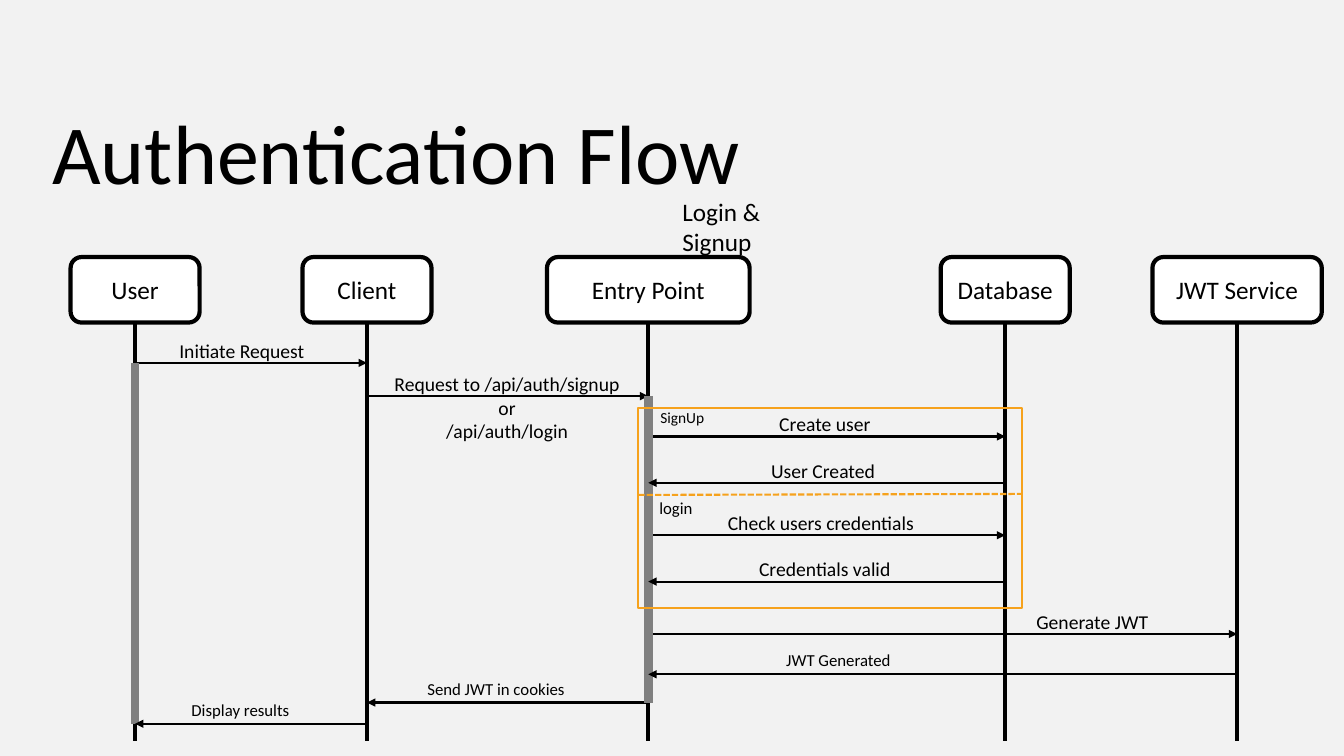
from pptx import Presentation
from pptx.util import Inches, Pt
from pptx.dml.color import RGBColor
from pptx.enum.dml import MSO_LINE
from pptx.enum.shapes import MSO_CONNECTOR, MSO_SHAPE
from pptx.enum.text import MSO_ANCHOR, MSO_AUTO_SIZE, PP_ALIGN
from lxml.etree import SubElement
from pptx.oxml.ns import qn

THEME = {
    "font": "Calibri",
    "page": RGBColor(0xF2, 0xF2, 0xF2),
    "ink": RGBColor(0, 0, 0),
    "box": RGBColor(0xFF, 0xFF, 0xFF),
    "bar": RGBColor(0x80, 0x80, 0x80),
    "frame": RGBColor(0xF6, 0xA2, 0x1D),
    "title": 60, "head": 18, "label": 14, "small": 12, "tiny": 11,
    "thin": 1.5, "thick": 3, "wide": 6,
}
CELL = Inches(0.1)

prs = Presentation()
prs.slide_width, prs.slide_height = Inches(13.33), Inches(7.5)
s = prs.slides.add_slide(prs.slide_layouts[6])
s.background.fill.solid()
s.background.fill.fore_color.rgb = THEME["page"]


def write(tf, lines, size, align):
    for i, line in enumerate(lines):
        p = tf.paragraphs[0] if i == 0 else tf.add_paragraph()
        p.alignment = align
        r = p.add_run()
        r.text = line
        r.font.name = THEME["font"]
        r.font.size = Pt(THEME[size])
        r.font.color.rgb = THEME["ink"]


def connect(x1, y1, x2, y2, color="ink", weight="thin", arrow=False):
    ends = [round(v * CELL) for v in (x1, y1, x2, y2)]
    cx = s.shapes.add_connector(MSO_CONNECTOR.STRAIGHT, *ends)
    cx.line.color.rgb = THEME[color]
    cx.line.width = Pt(THEME[weight])
    if arrow:
        SubElement(cx.line._get_or_add_ln(), qn("a:tailEnd"), type="triangle")
    SubElement(cx._element.spPr, qn("a:effectLst"))
    return cx


actors = {
    "User": (13.4, 12.8),
    "Client": (36.4, 12.8),
    "Entry Point": (64.3, 20.1),
    "Database": (99.7, 12.8),
    "JWT Service": (122.7, 16.8),
}
head_top, head_height, life_end = 25.5, 6.5, 73.5
for name, (mid, width) in actors.items():
    box = [round(v * CELL) for v in (mid - width / 2, head_top, width, head_height)]
    sp = s.shapes.add_shape(MSO_SHAPE.ROUNDED_RECTANGLE, *box)
    sp.shadow.inherit = False
    sp.fill.solid()
    sp.fill.fore_color.rgb = THEME["box"]
    sp.line.color.rgb = THEME["ink"]
    sp.line.width = Pt(THEME["thick"])
    sp.text_frame.vertical_anchor = MSO_ANCHOR.MIDDLE
    write(sp.text_frame, [name], "head", PP_ALIGN.CENTER)
    lifeline = connect(mid, head_top + head_height, mid, life_end, weight="thick")
    lifeline.begin_connect(sp, 2)

requests = [
    ("User", "Client", 36),
    ("Client", "Entry Point", 39.3),
    ("Entry Point", "Database", 43.3),
    ("Entry Point", "Database", 53.1),
    ("Entry Point", "JWT Service", 62.9),
    ("Entry Point", "Client", 69.7),
]
replies = [
    ("JWT Service", "Entry Point", 66.9),
    ("Database", "Entry Point", 47.9),
    ("Database", "Entry Point", 57.7),
    ("Client", "User", 71.8),
]
bars = [("Entry Point", 39.3, 69.7), ("User", 36, 71.8)]

for source, target, row in requests:
    connect(actors[source][0], row, actors[target][0], row, arrow=True)
for name, top, bottom in bars:
    connect(actors[name][0], top, actors[name][0], bottom, "bar", "wide")
for source, target, row in replies:
    connect(actors[source][0], row, actors[target][0], row, arrow=True)

left, top, width, height = 63.3, 40.5, 38.1, 19.8
frame = s.shapes.add_shape(
    MSO_SHAPE.RECTANGLE, *[round(v * CELL) for v in (left, top, width, height)])
frame.shadow.inherit = False
frame.fill.background()
frame.line.color.rgb = THEME["frame"]
frame.line.width = Pt(THEME["thin"])
divider = connect(left, 49.1, left + width, 49, "frame")
divider.line.dash_style = MSO_LINE.SQUARE_DOT

above = 2.9
texts = [
    (4.2, 9.5, 71.2, "title", False, ["Authentication Flow"]),
    (66.7, 19, 16, "head", True, ["Login & Signup"]),
    (16.8, 36 - above, 14.4, "label", False, ["Initiate Request"]),
    (37.3, 39.3 - above, 26, "label", True,
     ["Request to /api/auth/signup or", "/api/auth/login"]),
    (76.3, 43.3 - above, 11.5, "label", False, ["Create user"]),
    (75.5, 47.9 - above, 13.1, "label", False, ["User Created"]),
    (71.2, 53.1 - above, 22, "label", True, ["Check users credentials"]),
    (74.3, 57.7 - above, 18, "label", True, ["Credentials valid"]),
    (101.8, 62.9 - above, 13.8, "label", False, ["Generate JWT"]),
    (77, 66.9 - above, 13, "small", False, ["JWT Generated"]),
    (41.4, 69.7 - above, 16.3, "small", False, ["Send JWT in cookies"]),
    (18, 71.8 - above, 11.9, "small", False, ["Display results"]),
    (64.5, 40, 7.5, "tiny", True, ["SignUp"]),
    (64.4, 48.9, 6.8, "small", True, ["login"]),
]
for x, y, width, size, wrap, lines in texts:
    height = 1 + len(lines) * THEME[size] / 6
    tb = s.shapes.add_textbox(*[round(v * CELL) for v in (x, y, width, height)])
    tf = tb.text_frame
    tf.word_wrap = wrap
    tf.auto_size = MSO_AUTO_SIZE.SHAPE_TO_FIT_TEXT
    write(tf, lines, size, PP_ALIGN.CENTER if len(lines) > 1 else PP_ALIGN.LEFT)

prs.save("out.pptx")
